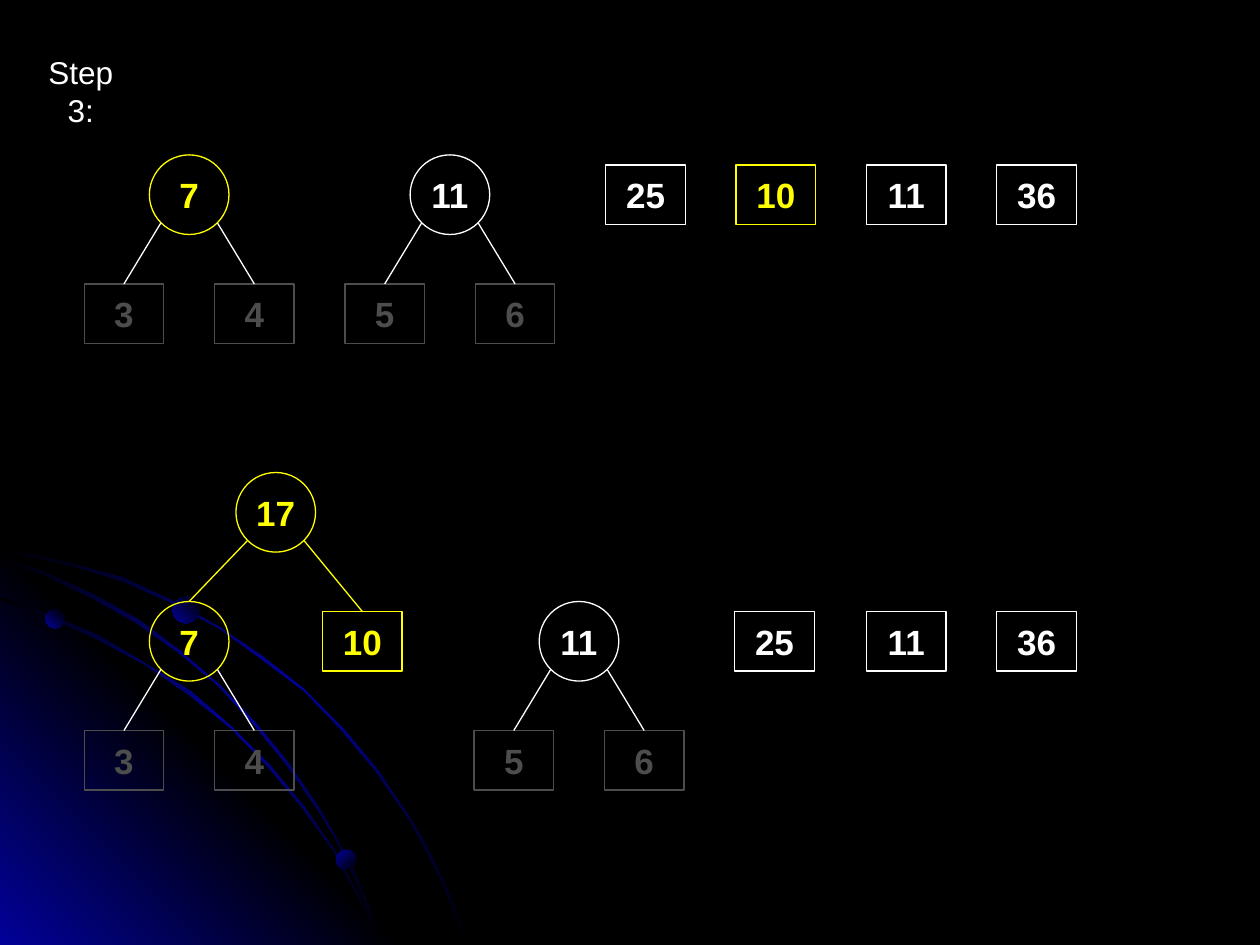
from lxml import etree
from pptx import Presentation
from pptx.dml.color import RGBColor
from pptx.enum.shapes import MSO_CONNECTOR, MSO_SHAPE
from pptx.enum.text import MSO_ANCHOR, PP_ALIGN
from pptx.oxml import parse_xml
from pptx.oxml.ns import nsdecls, qn
from pptx.util import Pt

WHITE, GOLD, GRAY = "FFFFFF", "FFFF00", "4D4D4D"
BLACK, BLUE = "000000", "010199"
WIDE, HIGH, STEP, DROP = 45.5, 34, 74.5, 68

ARCS = [
    [(0, 315.4), (20, 319), (40.3, 323.3), (69.8, 331.9), (97.2, 344.2),
     (124.6, 359.3), (149.8, 376.6), (173.5, 395.3), (195.1, 416.9),
     (214.6, 440.6), (232.6, 467.3), (242.6, 484.6), (252, 502.6),
     (259.2, 520.6), (266.4, 539.3)],
    [(0, 343.4), (28.1, 352.8), (55.4, 365), (82.8, 380.2), (108, 396.7),
     (131.8, 416.2), (153.4, 437.8), (172.8, 461.5), (190.8, 487.4),
     (205.2, 514.1), (211.7, 527), (216.7, 539.3)],
    [(0, 319.7), (25.9, 329), (53.3, 342), (78.5, 355.7), (102.2, 373),
     (124.6, 391.7), (145.4, 414), (163.4, 435.6), (181.4, 461.5),
     (192.2, 480.2), (201.6, 499.7), (210.2, 519.8), (216.7, 539.3)],
]
DOTS = [(31.3, 353.3, 10.8, 315), (197.8, 491, 11.5, 45),
        (106.2, 348.2, 15.1, 315)]


def color(text):
    return RGBColor.from_string(text)


def blend(shape, hues, angle):
    shape.shadow.inherit = False
    shape.line.fill.background()
    last = len(hues) - 1
    stops = "".join(
        f'<a:gs pos="{100000 * i // last}"><a:srgbClr val="{hue}"/></a:gs>'
        for i, hue in enumerate(hues))
    fill = parse_xml(
        f'<a:gradFill {nsdecls("a")} rotWithShape="1"><a:gsLst>{stops}</a:gsLst>'
        f'<a:lin ang="{angle * 60000}" scaled="1"/></a:gradFill>')
    form = shape._element.spPr
    form.find(qn("a:ln")).addprevious(fill)


def outline(slide, points, left, top):
    spots = [(left + x, top + y) for x, y in points]
    pen = slide.shapes.build_freeform(*spots[0], scale=Pt(1))
    pen.add_line_segments(spots[1:], close=True)
    return pen.convert_to_shape()


def arc(slide, points, left, top):
    last = len(points) - 1
    edge = [(x + 1.5 * i / last, y - 2 * (1 - i / last))
            for i, (x, y) in enumerate(points)]
    band = outline(slide, points + edge[::-1], left, top)
    blend(band, [BLACK, BLUE, BLACK], 45)


def scene(slide, left, top, height):
    slide.background.fill.solid()
    slide.background.fill.fore_color.rgb = color(BLACK)
    arc(slide, ARCS[0], left, top)
    side = 232.2
    glow = outline(slide, [(0, height - side), (side, height), (0, height)],
                   left, top)
    blend(glow, [BLUE, BLACK, BLUE], 315)
    for points in ARCS[1:]:
        arc(slide, points, left, top)
    for x, y, size, angle in DOTS:
        dot = slide.shapes.add_shape(MSO_SHAPE.OVAL, Pt(left + x - size / 2),
                                     Pt(top + y - size / 2 + 0.4),
                                     Pt(size), Pt(size))
        blend(dot, [BLUE, BLACK], angle)


def label(frame, text, size, hue, bold):
    frame.word_wrap = False
    frame.vertical_anchor = MSO_ANCHOR.MIDDLE
    para = frame.paragraphs[0]
    para.alignment = PP_ALIGN.CENTER
    run = para.add_run()
    run.text = text
    run.font.name = "Arial"
    run.font.size = Pt(size)
    run.font.bold = bold
    run.font.color.rgb = color(hue)


def heading(slide, left, top, width, height):
    title = slide.shapes.title
    title.left, title.top = Pt(left), Pt(top)
    title.width, title.height = Pt(width), Pt(height)
    label(title.text_frame, "Step 3:", 18, WHITE, False)


def node(slide, kind, text, x, y, hue):
    tall = WIDE if kind == MSO_SHAPE.OVAL else HIGH
    shape = slide.shapes.add_shape(kind, Pt(x - WIDE / 2), Pt(y - tall / 2),
                                   Pt(WIDE), Pt(tall))
    shape.shadow.inherit = False
    shape.fill.background()
    shape.line.color.rgb = color(hue)
    shape.line.width = Pt(0.75)
    label(shape.text_frame, text, 20, hue, True)


def box(slide, text, x, y, hue=WHITE):
    node(slide, MSO_SHAPE.RECTANGLE, text, x, y, hue)


def link(slide, x, y, end, foot, hue):
    reach = WIDE / 2 * 0.71
    start = x - reach if end < x else x + reach
    line = slide.shapes.add_connector(MSO_CONNECTOR.STRAIGHT, Pt(start),
                                      Pt(y + reach), Pt(end), Pt(foot))
    line.line.color.rgb = color(hue)
    line.line.width = Pt(0.75)
    etree.SubElement(line._element.spPr, qn("a:effectLst"))


def tree(slide, total, parts, x, y, hue):
    ends = [x - STEP / 2, x + STEP / 2]
    for text, end in zip(parts, ends):
        box(slide, text, end, y + DROP, GRAY)
    node(slide, MSO_SHAPE.OVAL, total, x, y, hue)
    for end in ends:
        link(slide, x, y, end, y + DROP - HIGH / 2, WHITE)


def before(slide, left, top):
    y = top + WIDE / 2
    first = left + WIDE / 2
    tree(slide, "7", "34", first + STEP / 2, y, GOLD)
    tree(slide, "11", "56", first + STEP * 2.5, y, WHITE)
    for i, text in enumerate(["25", "10", "11", "36"], 4):
        box(slide, text, first + STEP * i, y, GOLD if text == "10" else WHITE)


def after(slide, left, top):
    first = left + WIDE / 2
    root = top + WIDE / 2
    y = root + 73.7
    seven, ten = first + STEP / 2, first + 136.2
    mid = (seven + ten) / 2
    tree(slide, "7", "34", seven, y, GOLD)
    tree(slide, "11", "56", first + 260, y, WHITE)
    box(slide, "10", ten, y, GOLD)
    for text, x in [("25", 371.7), ("11", STEP * 6), ("36", STEP * 7)]:
        box(slide, text, first + x, y)
    node(slide, MSO_SHAPE.OVAL, "17", mid, root, GOLD)
    link(slide, mid, root, seven, y - WIDE / 2, GOLD)
    link(slide, mid, root, ten, y - HIGH / 2, GOLD)


def main():
    deck = Presentation()
    deck.slide_width, deck.slide_height = Pt(720), Pt(540)
    slide = deck.slides.add_slide(deck.slide_layouts[5])
    scene(slide, 0, 0, 540)
    heading(slide, 10.5, 37.5, 71.3, 29)
    before(slide, 48.1, 88.5)
    after(slide, 48.1, 270)
    deck.save("out.pptx")


if __name__ == "__main__":
    main()
